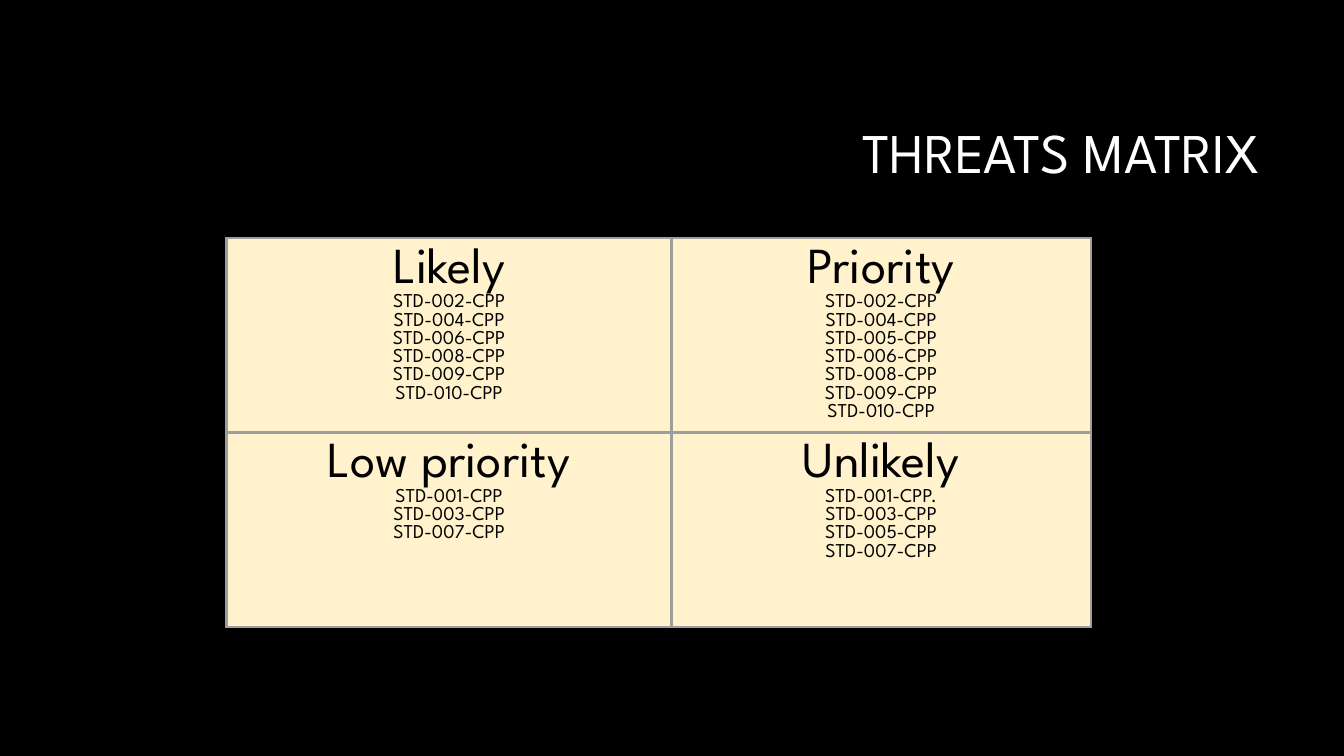
import pptx
import pptx.util
import pptx.dml.color
import pptx.enum.text
import pptx.oxml.ns
from lxml import etree

# Content
TITLE = "THREATS MATRIX"
CELLS = [
    [("Likely", ["STD-002-CPP", "STD-004-CPP", "STD-006-CPP",
                 "STD-008-CPP", "STD-009-CPP", "STD-010-CPP"]),
     ("Priority", ["STD-002-CPP", "STD-004-CPP", "STD-005-CPP", "STD-006-CPP",
                   "STD-008-CPP", "STD-009-CPP", "STD-010-CPP"])],
    [("Low priority", ["STD-001-CPP", "STD-003-CPP", "STD-007-CPP"]),
     ("Unlikely", ["STD-001-CPP.", "STD-003-CPP", "STD-005-CPP", "STD-007-CPP"])],
]
WIDTHS = [4.41, 4.16]
HEIGHT = 1.93
FONT = "League Spartan"
BLACK, WHITE, CREAM, GREY = "000000", "FFFFFF", "FFF2CC", "9E9E9E"

Inches = pptx.util.Inches
Pt = pptx.util.Pt
ALIGN = pptx.enum.text.PP_ALIGN
qn = pptx.oxml.ns.qn


def paint(fill, color):
    fill.solid()
    fill.fore_color.rgb = pptx.dml.color.RGBColor.from_string(color)


def style(para, size, color, align, space):
    para.alignment = align
    para.line_spacing = space
    for run in para.runs:
        run.font.name = FONT
        run.font.size = Pt(size)
        paint(run.font.fill, color)


def border(cell, color, width):
    props = cell._tc.get_or_add_tcPr()
    for spot, side in enumerate(("lnL", "lnR", "lnT", "lnB")):
        line = etree.Element(qn("a:" + side), w=str(Pt(width)))
        fill = etree.SubElement(line, qn("a:solidFill"))
        etree.SubElement(fill, qn("a:srgbClr"), val=color)
        props.insert(spot, line)


# Slide
deck = pptx.Presentation()
deck.slide_width, deck.slide_height = Inches(13.33), Inches(7.5)
slide = deck.slides.add_slide(deck.slide_layouts[6])
paint(slide.background.fill, BLACK)

# Title
box = slide.shapes.add_textbox(Inches(3.17), Inches(0.84), Inches(9.42), Inches(1.41))
frame = box.text_frame
frame.word_wrap = True
frame.vertical_anchor = pptx.enum.text.MSO_ANCHOR.MIDDLE
frame.text = TITLE
style(frame.paragraphs[0], 40, WHITE, ALIGN.RIGHT, 0.9)

# Matrix
grid = slide.shapes.add_table(
    len(CELLS), len(WIDTHS), Inches(2.25), Inches(2.36),
    Inches(sum(WIDTHS)), Inches(HEIGHT * len(CELLS))).table
grid.first_row = grid.horz_banding = False
for col, width in zip(grid.columns, WIDTHS):
    col.width = Inches(width)
for r, row in enumerate(CELLS):
    grid.rows[r].height = Inches(HEIGHT)
    for c, (head, codes) in enumerate(row):
        cell = grid.cell(r, c)
        cell.margin_left = cell.margin_right = Inches(0.1)
        cell.margin_top = cell.margin_bottom = Inches(0.1)
        paint(cell.fill, CREAM)
        border(cell, GREY, 2.25)
        cell.text_frame.text = "\n".join([head] + codes)
        # Fixed line pitch keeps both rows equally tall
        for n, para in enumerate(cell.text_frame.paragraphs):
            size, pitch = (14, 13) if n else (36, 33)
            style(para, size, BLACK, ALIGN.CENTER, Pt(pitch))

deck.save("out.pptx")
